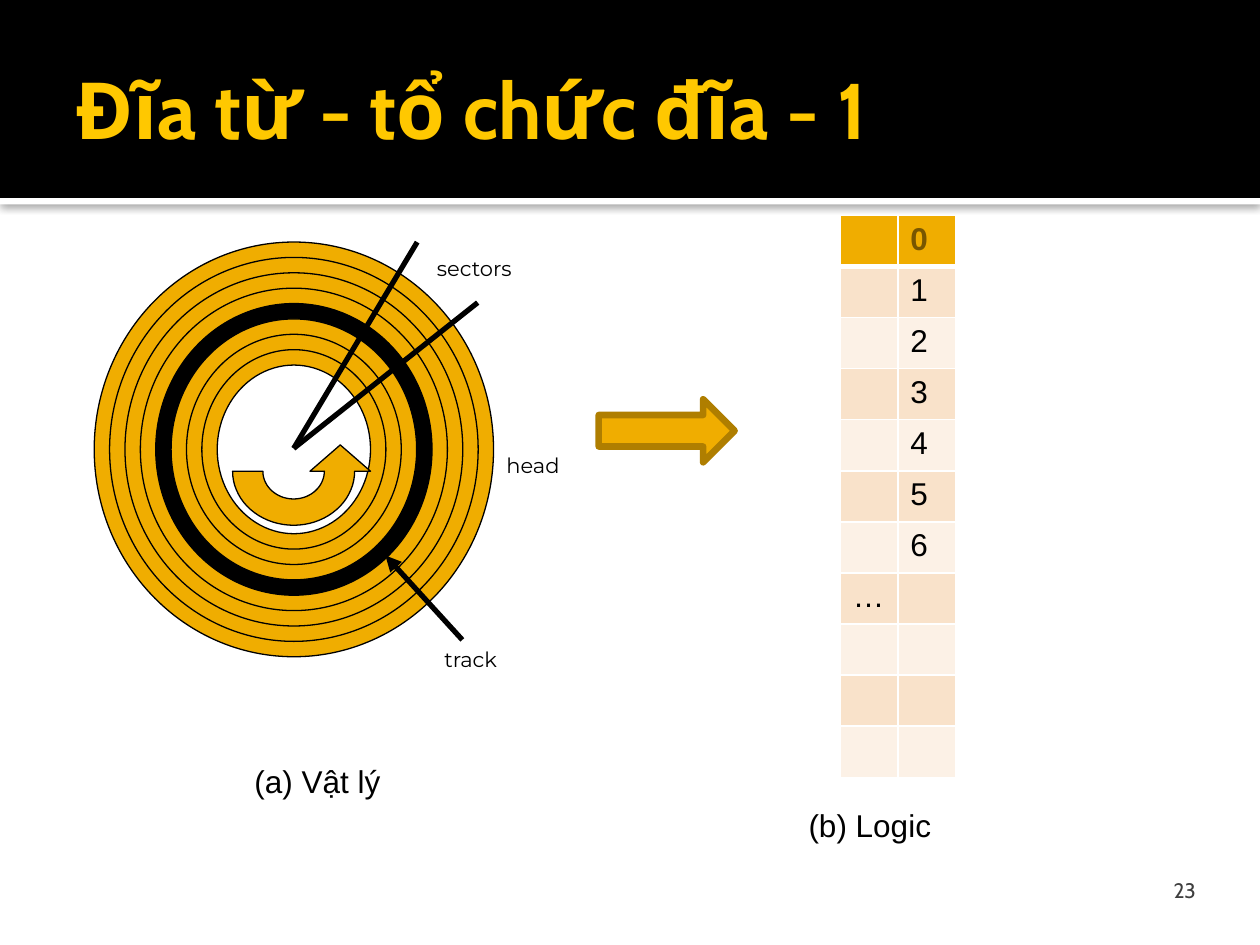
import math
from lxml import etree
from pptx import Presentation
from pptx.dml.color import RGBColor
from pptx.enum import shapes, text
from pptx.oxml import parse_xml
from pptx.oxml.ns import nsdecls, qn
from pptx.util import Cm, Pt

BLACK = RGBColor(0x00, 0x00, 0x00)
WHITE = RGBColor(0xFF, 0xFF, 0xFF)
AMBER = RGBColor(0xF0, 0xAD, 0x00)
DARK_AMBER = RGBColor(0xAF, 0x7E, 0x00)
BROWN = RGBColor(0x78, 0x56, 0x00)
YELLOW = RGBColor(0xFF, 0xC8, 0x00)
PEACH = RGBColor(0xF9, 0xE2, 0xCA)
CREAM = RGBColor(0xFC, 0xF1, 0xE6)
GRAY = RGBColor(0x3F, 0x3F, 0x3F)
SHAPE = shapes.MSO_SHAPE
ANCHOR = text.MSO_ANCHOR


def write(frame, words, size=18, font="Arial", color=BLACK, bold=False, align=None):
    para = frame.paragraphs[0]
    para.alignment = align
    span = para.add_run()
    span.text = words
    span.font.size = Pt(size)
    span.font.name = font
    span.font.color.rgb = color
    span.font.bold = bold


def add_label(page, box, words, anchor=ANCHOR.TOP, **style):
    frame = page.shapes.add_textbox(*map(Cm, box)).text_frame
    frame.word_wrap = True
    frame.vertical_anchor = anchor
    write(frame, words, **style)
    return frame


def paint(shape, fill, line=None, width=0.75):
    shape.shadow.inherit = False
    shape.fill.solid()
    shape.fill.fore_color.rgb = fill
    if line is None:
        shape.line.fill.background()
    else:
        shape.line.color.rgb = line
        shape.line.width = Pt(width)


def add_figure(page, kind, box, *colors, **style):
    shape = page.shapes.add_shape(kind, *map(Cm, box))
    paint(shape, *colors, **style)
    return shape


def add_line(page, start, end, arrow=False):
    line = page.shapes.add_connector(
        shapes.MSO_CONNECTOR.STRAIGHT, *map(Cm, start + end))
    line.line.color.rgb = BLACK
    line.line.width = Pt(3)
    if arrow:
        etree.SubElement(line.line._get_or_add_ln(), qn("a:tailEnd"), type="triangle")
    etree.SubElement(line._element.spPr, qn("a:effectLst"))


def add_header(page, box):
    left, top, width, height = box
    rule = add_figure(page, SHAPE.RECTANGLE, (left, top + height, width, 0.13), WHITE)
    effects = rule._element.spPr.find(qn("a:effectLst"))
    effects.append(parse_xml(
        f'<a:outerShdw {nsdecls("a")} blurRad="63500" dist="10160" dir="5400000">'
        '<a:srgbClr val="000000"><a:alpha val="60000"/></a:srgbClr></a:outerShdw>'))
    add_figure(page, SHAPE.RECTANGLE, box, BLACK)
    frame = add_label(page, (left + 1.27, top + 0.43, width - 2.54, 3.48),
                      "Đĩa từ - tổ chức đĩa - 1", anchor=ANCHOR.MIDDLE,
                      size=45, font="Cabin", color=YELLOW, bold=True)
    frame.margin_right = Cm(0.13)


def add_rotation(page, center):
    x, y = center

    def arc(radius_x, radius_y, degrees):
        return [(x + radius_x * math.cos(math.radians(d)),
                 y + radius_y * math.sin(math.radians(d))) for d in degrees]

    points = arc(0.62, 0.56, range(0, 181, 5)) + arc(1.23, 1.09, range(180, -1, -5))
    points += [(x + 1.55, y), (x + 0.94, y - 0.53), (x + 0.33, y)]
    points = [(Cm(a), Cm(b)) for a, b in points]
    builder = page.shapes.build_freeform(*points[0])
    builder.add_line_segments(points[1:], close=True)
    paint(builder.convert_to_shape(), AMBER, BLACK)


def add_disk(page, box):
    left, top, width, height = box
    fills = [AMBER] * 4 + [BLACK] + [AMBER] * 3 + [WHITE]
    for ring, fill in enumerate(fills):
        inset = 0.31 * ring
        add_figure(page, SHAPE.OVAL,
                   (left + inset, top + inset, width - 2 * inset, height - 2 * inset),
                   fill, BLACK)
    add_rotation(page, (left + 4.02, top + 4.62))
    center = (left + 4.02, top + 4.16)
    add_line(page, (left + 7.42, top + 8.02), (left + 5.87, top + 6.32), arrow=True)
    for x, y in ((6.51, 0), (7.73, 1.22)):
        add_line(page, center, (left + x, top + y))
    for words, x, y, wide in (("head", 8.06, 4.11, 1.91),
                              ("track", 6.81, 8.02, 2.54),
                              ("sectors", 6.66, 0.15, 3.51)):
        add_label(page, (left + x, top + y, wide, 0.76), words,
                  size=12, font="Montserrat")


def set_borders(cell, **widths):
    properties = cell._tc.get_or_add_tcPr()
    for side in "LRTB":
        properties.append(parse_xml(
            f'<a:ln{side} {nsdecls("a")} w="{Pt(widths.get(side, 1))}">'
            f'<a:solidFill><a:srgbClr val="{WHITE}"/></a:solidFill></a:ln{side}>'))


def add_blocks(page, box):
    rows = [("", str(number)) for number in range(7)] + [("…", "")] + [("", "")] * 3
    table = page.shapes.add_table(len(rows), 2, *map(Cm, box)).table
    for column in table.columns:
        column.width = Cm(box[2] / 2)
    for index, values in enumerate(rows):
        table.rows[index].height = Cm(box[3] / len(rows))
        fill = AMBER if index == 0 else PEACH if index % 2 else CREAM
        for column, words in enumerate(values):
            cell = table.cell(index, column)
            set_borders(cell, T=3 if index == 1 else 1, B=3 if index == 0 else 1)
            cell.fill.solid()
            cell.fill.fore_color.rgb = fill
            if words:
                write(cell.text_frame, words, bold=index == 0,
                      color=BROWN if index == 0 else BLACK)


def add_page_number(page, box):
    frame = add_label(page, box, "23", anchor=ANCHOR.BOTTOM, size=12, font="Cabin",
                      color=GRAY, align=text.PP_ALIGN.RIGHT)
    frame.margin_bottom = 0


def main():
    deck = Presentation()
    deck.slide_width, deck.slide_height = Cm(25.4), Cm(19.05)
    page = deck.slides.add_slide(deck.slide_layouts[6])
    add_header(page, (0, 0, 25.4, 3.99))
    add_blocks(page, (16.94, 4.34, 2.32, 11.33))
    add_page_number(page, (22.66, 16.74, 1.7, 1.45))
    add_disk(page, (1.9, 4.88, 8.05, 8.36))
    add_figure(page, SHAPE.RIGHT_ARROW, (12.07, 8.05, 2.74, 1.27),
               AMBER, DARK_AMBER, width=3.78)
    add_label(page, (4.88, 15.24, 3.2, 1.02), "(a) Vật lý")
    add_label(page, (16.05, 16.13, 3.2, 1.02), "(b) Logic")
    deck.save("out.pptx")


if __name__ == "__main__":
    main()
